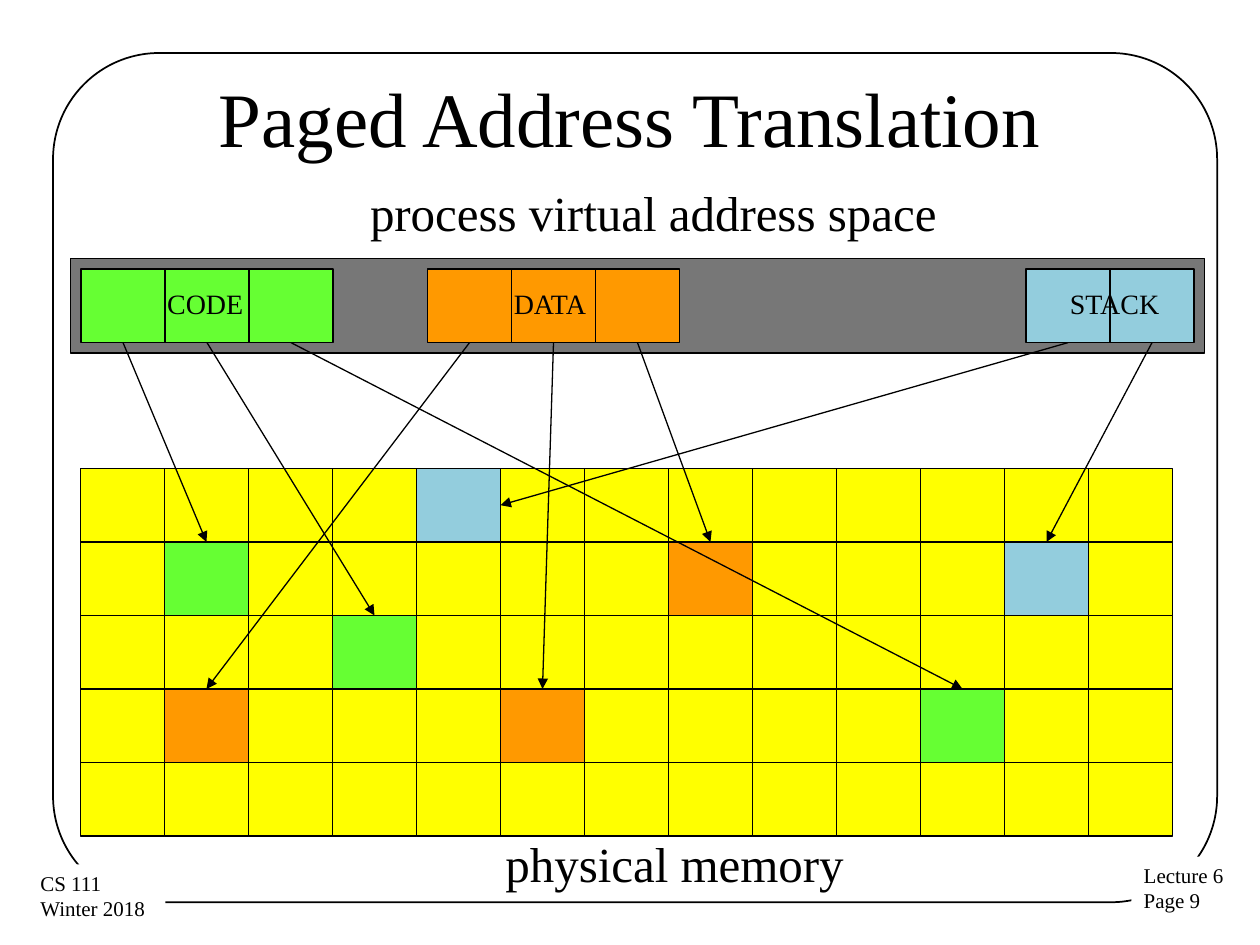
from lxml import etree
from pptx import Presentation
from pptx.dml.color import RGBColor
from pptx.enum.shapes import MSO_CONNECTOR, MSO_SHAPE
from pptx.enum.text import MSO_ANCHOR, PP_ALIGN
from pptx.oxml.ns import qn
from pptx.util import Pt

BLACK = RGBColor(0x00, 0x00, 0x00)
WHITE = RGBColor(0xFF, 0xFF, 0xFF)
GRAY = RGBColor(0x77, 0x77, 0x77)
GREEN = RGBColor(0x66, 0xFF, 0x33)
ORANGE = RGBColor(0xFF, 0x99, 0x00)
BLUE = RGBColor(0x93, 0xCD, 0xDD)
YELLOW = RGBColor(0xFF, 0xFF, 0x00)
FONT = "Times New Roman"

# Content: each page maps to a frame (row, column) and the side its arrow meets
TITLE = "Paged Address Translation"
TOP, BOTTOM, RIGHT = 0, 2, 3  # connection sites of a rectangle
SEGMENTS = [
    # name, colour, left, label left, label width, mapped frames
    ("CODE", GREEN, 46.3, 88.5, 114,
     [(1, 1, TOP), (2, 3, TOP), (3, 10, TOP)]),
    ("DATA", ORANGE, 244.3, 286.5, 96,
     [(3, 1, TOP), (3, 5, TOP), (1, 7, TOP)]),
    ("STACK", BLUE, 586.3, 604.3, 84,
     [(0, 4, RIGHT), (1, 11, TOP)]),
]
CAPTIONS = [
    ("process virtual address space", 166.3, 101),
    ("physical memory", 178.5, 473),
]
CORNERS = [
    (["Lecture 6", "Page 9"], 646.5, 489.5, 61),
    (["CS 111", "Winter 2018"], 16, 494, 78.5),
]

# Geometry in points
CELL_WIDTH, CELL_HEIGHT = 48, 42
ROWS, COLUMNS = 5, 13
MEMORY_LEFT, MEMORY_TOP = 46, 267.7
PAGES_TOP = 153.8

presentation = Presentation()
presentation.slide_width, presentation.slide_height = Pt(720), Pt(540)
slide = presentation.slides.add_slide(presentation.slide_layouts[5])
shapes = slide.shapes


def add_box(left, top, width, height, fill=None, line_width=0.75,
            kind=MSO_SHAPE.RECTANGLE):
    shape = shapes.add_shape(kind, Pt(left), Pt(top), Pt(width), Pt(height))
    shape.shadow.inherit = False
    if fill is None:
        shape.fill.background()
    else:
        shape.fill.solid()
        shape.fill.fore_color.rgb = fill
    shape.line.color.rgb = BLACK
    shape.line.width = Pt(line_width)
    return shape


def format_text(text_frame, size, align):
    for paragraph in text_frame.paragraphs:
        paragraph.alignment = align
        paragraph.font.name = FONT
        paragraph.font.size = Pt(size)
        paragraph.font.color.rgb = BLACK


def add_text(text, left, top, width, height, size, align=PP_ALIGN.LEFT):
    text_box = shapes.add_textbox(Pt(left), Pt(top), Pt(width), Pt(height))
    text_box.text_frame.word_wrap = True
    text_box.text_frame.text = text
    format_text(text_box.text_frame, size, align)
    return text_box


def add_arrow(page, frame, side):
    arrow = shapes.add_connector(MSO_CONNECTOR.STRAIGHT, 0, 0, 0, 0)
    arrow.begin_connect(page, BOTTOM)
    arrow.end_connect(frame, side)
    arrow.line.color.rgb = BLACK
    arrow.line.width = Pt(0.75)
    etree.SubElement(arrow.line._get_or_add_ln(), qn("a:tailEnd"), type="triangle")
    etree.SubElement(arrow._element.spPr, qn("a:effectLst"))


# Border with the corner notes over it
border = add_box(30.3, 30.3, 665.2, 485.3, line_width=1,
                 kind=MSO_SHAPE.ROUNDED_RECTANGLE)
border.adjustments[0] = 0.125
for lines, left, top, width in CORNERS:
    note = add_text("\n".join(lines), left, top, width, 36.5, 12)
    note.text_frame.word_wrap = False
    note.fill.solid()
    note.fill.fore_color.rgb = WHITE

# Title
title = shapes.title
title.left, title.top, title.width, title.height = Pt(36), Pt(21.6), Pt(648), Pt(90)
title.text_frame.text = TITLE
title.text_frame.vertical_anchor = MSO_ANCHOR.MIDDLE
format_text(title.text_frame, 44, PP_ALIGN.CENTER)

# Virtual address space
add_box(40.3, 147.8, 648, 54, GRAY)
mappings = []
frame_colors = {}
for name, color, left, label_left, label_width, targets in SEGMENTS:
    for index, (row, column, side) in enumerate(targets):
        page = add_box(left + index * CELL_WIDTH, PAGES_TOP,
                       CELL_WIDTH, CELL_HEIGHT, color)
        mappings.append((page, (row, column), side))
        frame_colors[row, column] = color
    add_text(name, label_left, 160, label_width, 26.6, 16)

# Physical memory
frames = {}
for row in range(ROWS):
    for column in range(COLUMNS):
        frames[row, column] = add_box(
            MEMORY_LEFT + column * CELL_WIDTH, MEMORY_TOP + row * CELL_HEIGHT,
            CELL_WIDTH, CELL_HEIGHT, frame_colors.get((row, column), YELLOW))

for text, left, top in CAPTIONS:
    add_text(text, left, top, 414, 41, 28, PP_ALIGN.CENTER)

# Translation arrows
for page, position, side in mappings:
    add_arrow(page, frames[position], side)

presentation.save("out.pptx")
